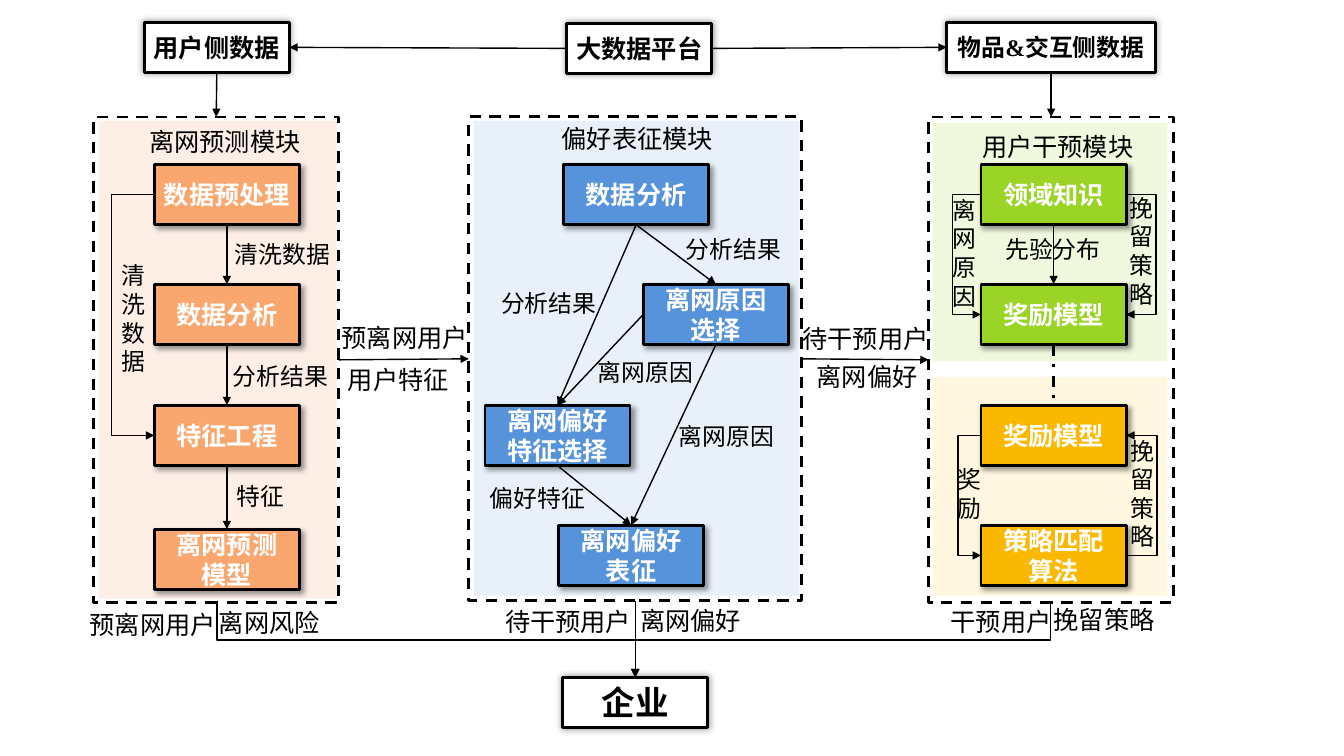
from lxml import etree
from pptx import Presentation
from pptx.dml.color import RGBColor
from pptx.enum.dml import MSO_LINE
from pptx.enum.shapes import MSO_CONNECTOR, MSO_SHAPE
from pptx.enum.text import MSO_ANCHOR, PP_ALIGN
from pptx.oxml.ns import qn
from pptx.util import Pt

PX = 9144
FONT = "Times New Roman"
BLACK = RGBColor(0x00, 0x00, 0x00)
WHITE = RGBColor(0xFF, 0xFF, 0xFF)
ORANGE = RGBColor(0xF9, 0xA7, 0x6F)
BLUE = RGBColor(0x57, 0x93, 0xDB)
GREEN = RGBColor(0x9A, 0xD4, 0x26)
GOLD = RGBColor(0xFA, 0xB9, 0x00)
PALE_ORANGE = RGBColor(0xFD, 0xEF, 0xE6)
PALE_BLUE = RGBColor(0xE8, 0xF0, 0xFA)
PALE_GREEN = RGBColor(0xF0, 0xF9, 0xDE)
PALE_GOLD = RGBColor(0xFF, 0xF7, 0xE0)
RECTANGLE = MSO_SHAPE.RECTANGLE
STRAIGHT, ELBOW = MSO_CONNECTOR.STRAIGHT, MSO_CONNECTOR.ELBOW
DASH, DASH_DOT = MSO_LINE.DASH, MSO_LINE.DASH_DOT
CENTER, LEFT_ALIGN = PP_ALIGN.CENTER, PP_ALIGN.LEFT
MIDDLE, TOP_ANCHOR = MSO_ANCHOR.MIDDLE, MSO_ANCHOR.TOP
TOP, LEFT, BOTTOM, RIGHT = range(4)

BOX_WIDTH, BOX_HEIGHT, HEADER_HEIGHT = 144, 60, 50
BUS_TOP, BUS_BOTTOM = 598, 672

TINTS = [
    (98, 120, 236, 474, PALE_ORANGE),
    (470, 120, 323, 471, PALE_BLUE),
    (925, 122, 233, 236, PALE_GREEN),
    (925, 374, 233, 217, PALE_GOLD),
]
PANELS = {
    "churn": (93, 116, 243, 482),
    "preference": (465, 116, 330, 480),
    "intervention": (921, 116, 243, 482),
}
HEADERS = {
    "user data": (143, 22, BOX_WIDTH, "用户侧数据", 18),
    "platform": (562, 23, BOX_WIDTH, "大数据平台", 18),
    "item data": (939, 22, 207, "物品&交互侧数据", 17),
    "company": (558, 672, BOX_WIDTH, "企业", 24),
}
STEPS = {
    "preprocess": (153, 163, ORANGE, ["数据预处理"]),
    "churn analysis": (153, 282, ORANGE, ["数据分析"]),
    "features": (153, 402, ORANGE, ["特征工程"]),
    "churn model": (153, 525, ORANGE, ["离网预测", "模型"]),
    "analysis": (559, 163, BLUE, ["数据分析"]),
    "reason": (638, 282, BLUE, ["离网原因", "选择"]),
    "selection": (481, 402, BLUE, ["离网偏好", "特征选择"]),
    "representation": (554, 521, BLUE, ["离网偏好", "表征"]),
    "knowledge": (973, 163, GREEN, ["领域知识"]),
    "reward": (973, 282, GREEN, ["奖励模型"]),
    "reward reuse": (973, 402, GOLD, ["奖励模型"]),
    "matching": (973, 521, GOLD, ["策略匹配", "算法"]),
}
ARROWS = [
    ("platform", LEFT, "user data", RIGHT),
    ("platform", RIGHT, "item data", LEFT),
    ("user data", BOTTOM, "churn", TOP),
    ("item data", BOTTOM, "intervention", TOP),
    ("churn", RIGHT, "preference", LEFT),
    ("preference", RIGHT, "intervention", LEFT),
    ("preference", BOTTOM, "company", TOP),
    ("preprocess", BOTTOM, "churn analysis", TOP),
    ("churn analysis", BOTTOM, "features", TOP),
    ("features", BOTTOM, "churn model", TOP),
    ("analysis", BOTTOM, "selection", TOP),
    ("analysis", BOTTOM, "reason", TOP),
    ("reason", LEFT, "selection", TOP),
    ("reason", BOTTOM, "representation", TOP),
    ("selection", BOTTOM, "representation", TOP),
    ("knowledge", BOTTOM, "reward", TOP),
]
LOOPS = [
    ("preprocess", "features", LEFT, 110),
    ("knowledge", "reward", LEFT, 944),
    ("knowledge", "reward", RIGHT, 1147),
    ("reward reuse", "matching", LEFT, 950),
    ("matching", "reward reuse", RIGHT, 1148),
]
BUS_STARTS = [215, 1042]
BUS_END = 630
LABELS = [
    (148, 125, 18, "离网预测模块"), (557, 122, 18, "偏好表征模块"),
    (974, 130, 18, "用户干预模块"),
    (339, 320, 18, "预离网用户"), (345, 361, 18, "用户特征"),
    (796, 321, 18, "待干预用户"), (810, 358, 18, "离网偏好"),
    (89, 604, 18, "预离网用户"), (217, 603, 18, "离网风险"),
    (501, 602, 18, "待干预用户"), (635, 601, 18, "离网偏好"),
    (943, 602, 18, "干预用户"), (1045, 600, 18, "挽留策略"),
    (233, 238, 17, "清洗数据"), (231, 359, 17, "分析结果"),
    (235, 478, 17, "特征"),
    (680, 233, 17, "分析结果"), (497, 286, 17, "分析结果"),
    (593, 355, 17, "离网原因"), (673, 418, 17, "离网原因"),
    (486, 480, 17, "偏好特征"), (997, 233, 17, "先验分布"),
]
VERTICAL_LABELS = [
    (121, 259, "清洗数据"), (945, 194, "离网原因"), (1120, 192, "挽留策略"),
    (950, 461, "奖励"), (1121, 433, "挽留策略"),
]

deck = Presentation()
deck.slide_width, deck.slide_height = 1333 * PX, 750 * PX
page = deck.slides.add_slide(deck.slide_layouts[6])
shapes = {}


def write(shape, lines, size, color, bold, align, anchor):
    frame = shape.text_frame
    frame.margin_left = frame.margin_right = 0
    frame.margin_top = frame.margin_bottom = 0
    frame.word_wrap = False
    frame.vertical_anchor = anchor
    for index, line in enumerate(lines):
        para = frame.add_paragraph() if index else frame.paragraphs[0]
        para.text = line
        para.alignment = align
        para.font.name, para.font.size, para.font.bold = FONT, Pt(size), bold
        para.font.color.rgb = color


def add_rectangle(left, top, width, height, fill=None, border=False):
    box = page.shapes.add_shape(RECTANGLE, left * PX, top * PX, width * PX, height * PX)
    box.shadow.inherit = False
    if fill is None:
        box.fill.background()
    else:
        box.fill.solid()
        box.fill.fore_color.rgb = fill
    if border:
        box.line.color.rgb, box.line.width = BLACK, Pt(2)
    else:
        box.line.fill.background()
    return box


def add_shadow(box, blur, distance, degrees):
    effects = box._element.spPr.find(qn("a:effectLst"))
    shadow = etree.SubElement(effects, qn("a:outerShdw"), blurRad=str(Pt(blur)),
                              dist=str(Pt(distance)), dir=str(degrees * 60000))
    color = etree.SubElement(shadow, qn("a:srgbClr"), val=str(BLACK))
    etree.SubElement(color, qn("a:alpha"), val="40000")


def add_line(kind, begin_x, begin_y, end_x, end_y, width=1, arrow=True):
    line = page.shapes.add_connector(kind, begin_x, begin_y, end_x, end_y)
    line.line.color.rgb, line.line.width = BLACK, Pt(width)
    if arrow:
        etree.SubElement(line.line._get_or_add_ln(), qn("a:tailEnd"), type="triangle")
    etree.SubElement(line._element.spPr, qn("a:effectLst"))
    return line


def join(begin, begin_side, end, end_side, **style):
    line = add_line(STRAIGHT, 0, 0, 0, 0, **style)
    line.begin_connect(shapes[begin], begin_side)
    line.end_connect(shapes[end], end_side)
    return line


def add_loop(begin, end, side, bend):
    left, begin_top = STEPS[begin][:2]
    edge = left if side == LEFT else left + BOX_WIDTH
    step = -1 if side == LEFT else 1
    start = edge - step
    line = add_line(ELBOW, start * PX, (begin_top + BOX_HEIGHT // 2) * PX,
                    edge * PX, (STEPS[end][1] + BOX_HEIGHT // 2) * PX)
    guides = line._element.spPr.find(qn("a:prstGeom")).get_or_add_avLst()
    etree.SubElement(guides, qn("a:gd"), name="adj1",
                     fmla=f"val {(bend - start) * step * 100000}")


def add_bus(start, end):
    span, drop = abs(end - start), BUS_BOTTOM - BUS_TOP
    left = (start + end - drop) * PX // 2
    top = (BUS_TOP + BUS_BOTTOM - span) * PX // 2
    ends = [left, left + drop * PX]
    if start < end:
        ends.reverse()
    line = add_line(ELBOW, ends[0], top, ends[1], top + span * PX)
    turn = 270 if start < end else 90
    line._element.spPr.find(qn("a:xfrm")).set("rot", str(turn * 60000))


def add_label(left, top, width, height, lines, size):
    box = page.shapes.add_textbox(left * PX, top * PX, width * PX, height * PX)
    write(box, lines, size, BLACK, False, LEFT_ALIGN, TOP_ANCHOR)


for tint in TINTS:
    add_rectangle(*tint)
for name, place in PANELS.items():
    shapes[name] = add_rectangle(*place, border=True)
    shapes[name].line.dash_style = DASH
for name, (left, top, width, text, size) in HEADERS.items():
    box = shapes[name] = add_rectangle(left, top, width, HEADER_HEIGHT, WHITE, True)
    add_shadow(box, 5, 0, 0)
    write(box, [text], size, BLACK, True, CENTER, MIDDLE)
for name, (left, top, fill, lines) in STEPS.items():
    box = shapes[name] = add_rectangle(left, top, BOX_WIDTH, BOX_HEIGHT, fill, True)
    add_shadow(box, 4, 3, 45)
    write(box, lines, 18, WHITE, True, CENTER, MIDDLE)

for arrow in ARROWS:
    join(*arrow)
reward_link = join("reward", BOTTOM, "reward reuse", TOP, width=2, arrow=False)
reward_link.line.dash_style = DASH_DOT
for loop in LOOPS:
    add_loop(*loop)
for start in BUS_STARTS:
    add_bus(start, BUS_END)

for left, top, size, text in LABELS:
    add_label(left, top, len(text) * 25, 30, [text], size)
for left, top, text in VERTICAL_LABELS:
    add_label(left, top, 24, len(text) * 29, list(text), 17)

deck.save("out.pptx")
